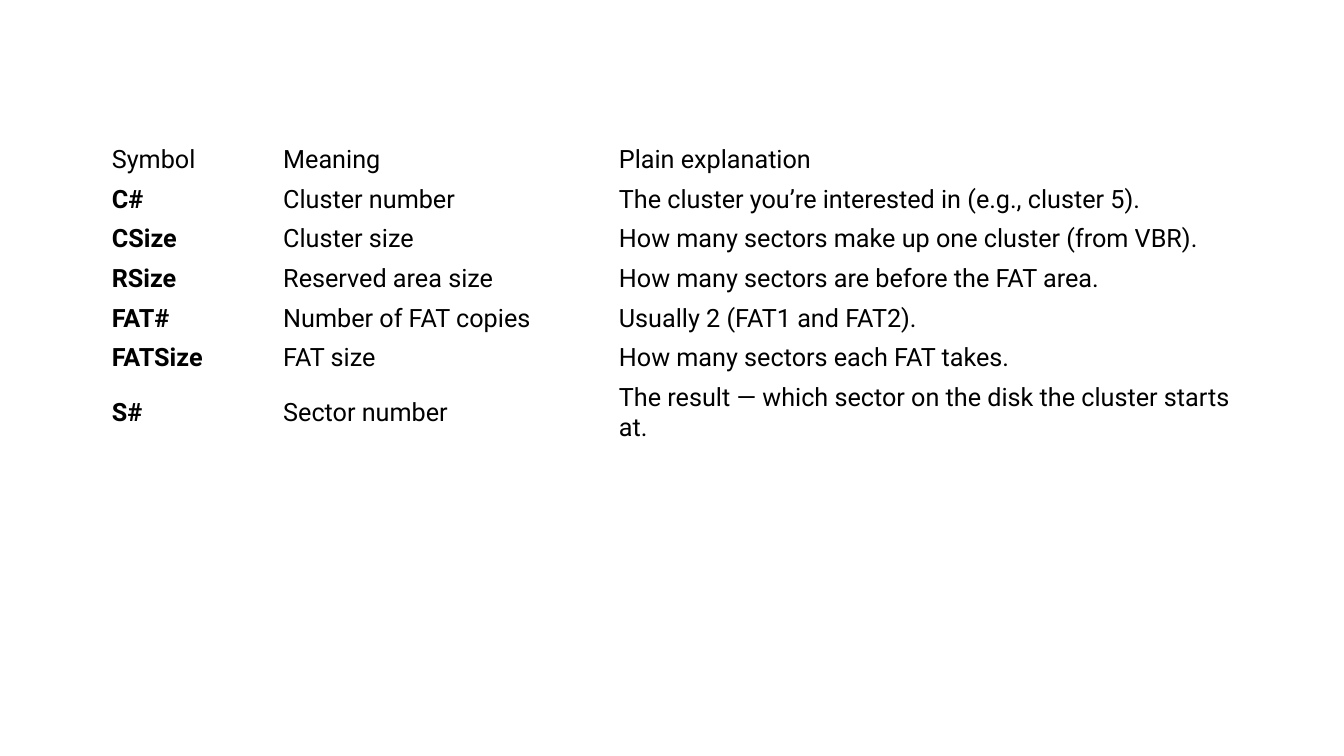
from typing import NamedTuple

from pptx import Presentation
from pptx.dml.color import RGBColor
from pptx.enum.text import MSO_ANCHOR
from pptx.table import _Cell
from pptx.util import Pt

BLACK = RGBColor(0x00, 0x00, 0x00)
FONT = "Roboto"
TEXT_SIZE = 18
TABLE_LEFT, TABLE_TOP = 72.7, 100.1
COLUMN_WIDTHS = (122.4, 239.8, 465.8)
ROW_HEIGHT = 28


class Term(NamedTuple):
    symbol: str
    meaning: str
    explanation: str


HEADER = Term("Symbol", "Meaning", "Plain explanation")
TERMS = [
    Term("C#", "Cluster number", "The cluster you’re interested in (e.g., cluster 5)."),
    Term("CSize", "Cluster size", "How many sectors make up one cluster (from VBR)."),
    Term("RSize", "Reserved area size", "How many sectors are before the FAT area."),
    Term("FAT#", "Number of FAT copies", "Usually 2 (FAT1 and FAT2)."),
    Term("FATSize", "FAT size", "How many sectors each FAT takes."),
    Term("S#", "Sector number",
         "The result — which sector on the disk the cluster starts at."),
]


def fill_cell(cell: _Cell, text: str, *, bold: bool = False) -> None:
    cell.fill.background()
    cell.vertical_anchor = MSO_ANCHOR.MIDDLE
    span = cell.text_frame.paragraphs[0].add_run()
    span.text = text
    span.font.name = FONT
    span.font.size = Pt(TEXT_SIZE)
    span.font.bold = bold
    span.font.color.rgb = BLACK


def main() -> None:
    deck = Presentation()
    deck.slide_width, deck.slide_height = Pt(960), Pt(540)
    page = deck.slides.add_slide(deck.slide_layouts[6])

    rows = [HEADER, *TERMS]
    table = page.shapes.add_table(
        len(rows), len(COLUMN_WIDTHS), Pt(TABLE_LEFT), Pt(TABLE_TOP),
        Pt(sum(COLUMN_WIDTHS)), Pt(ROW_HEIGHT * len(rows)),
    ).table
    table.first_row = False
    table.horz_banding = False
    for column, width in zip(table.columns, COLUMN_WIDTHS):
        column.width = Pt(width)

    for row_index, term in enumerate(rows):
        for column_index, text in enumerate(term):
            is_symbol = row_index > 0 and column_index == 0
            fill_cell(table.cell(row_index, column_index), text, bold=is_symbol)

    deck.save("out.pptx")


if __name__ == "__main__":
    main()
